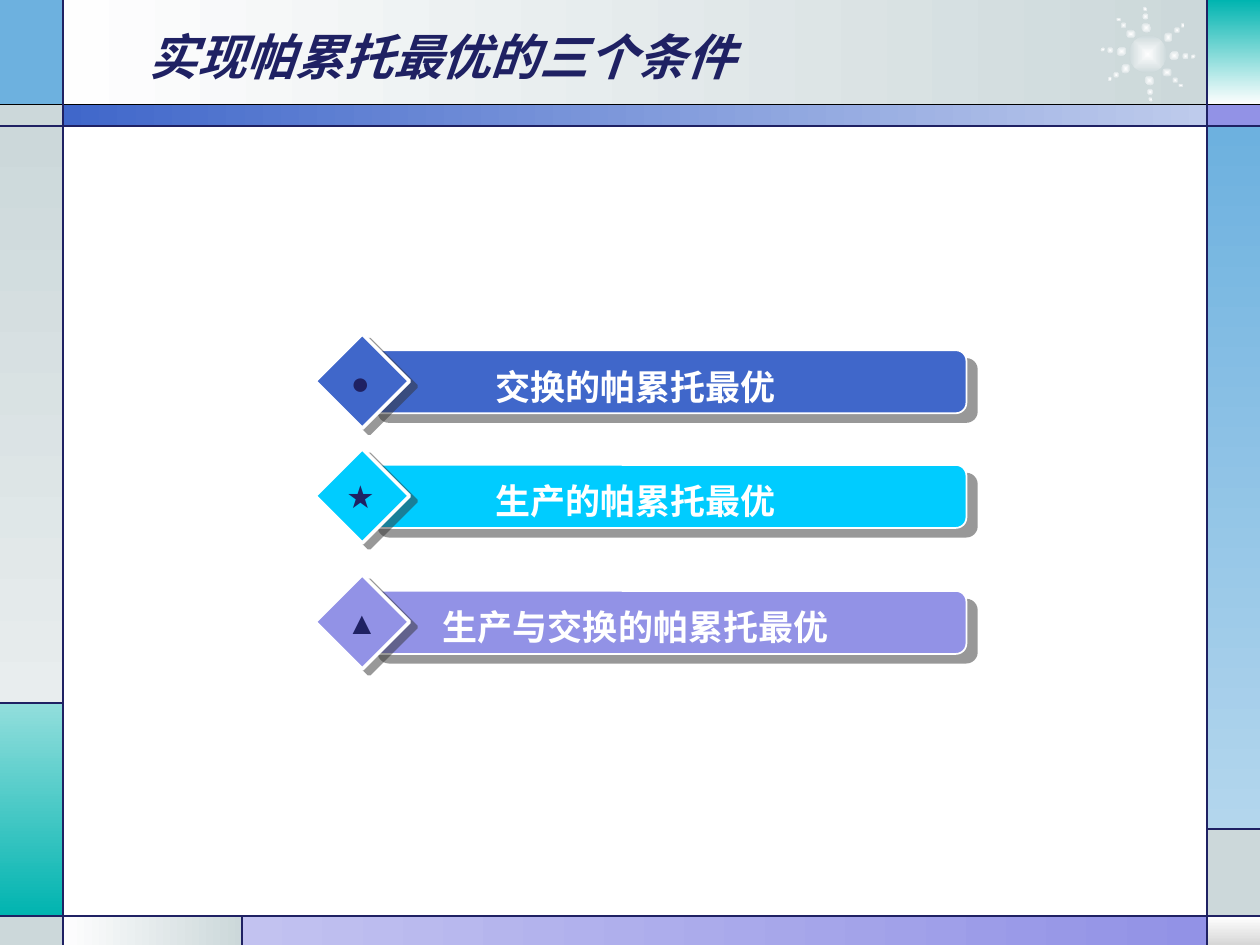
import math

from lxml import etree
from pptx import Presentation
from pptx import util as u
from pptx.dml.color import RGBColor
from pptx.enum import shapes, text
from pptx.oxml.ns import qn

COLORS = {
    "white": "FFFFFF", "pearl": "FEFEFE", "mist": "CCD8DA", "haze": "E8EDEE",
    "silver": "D7D7D7", "sky": "6DB1DF", "pale_sky": "B3D6ED",
    "teal": "00B4B0", "pale_teal": "92DEDC", "violet": "9292E6",
    "pale_violet": "C2C2F0", "blue": "4067CA", "pale_blue": "BECBEC",
    "cyan": "00CCFF", "navy": "1F2163", "black": "000000", "shade": "333333",
}
COLUMNS = [0, 0.5, 1.92, 9.58, 10]
ROWS = [0, 0.83, 1, 5.58, 6.58, 7.27, 7.5]
LEFTWARD, DOWNWARD = 180, 270
PANELS = [
    (1, 0, 3, 1, ("mist", "pearl", LEFTWARD)),
    (0, 0, 1, 1, "sky"),
    (0, 1, 1, 2, "mist"),
    (0, 2, 1, 3, ("mist", "haze", DOWNWARD)),
    (0, 3, 1, 5, ("pale_teal", "teal", DOWNWARD)),
    (0, 5, 1, 6, "mist"),
    (1, 5, 2, 6, ("mist", "pearl", LEFTWARD)),
    (2, 5, 3, 6, ("violet", "pale_violet", LEFTWARD)),
    (3, 5, 4, 6, ("white", "silver", DOWNWARD)),
    (3, 4, 4, 5, "mist"),
    (3, 2, 4, 4, ("sky", "pale_sky", DOWNWARD)),
    (3, 1, 4, 2, "violet"),
    (3, 0, 4, 1, ("teal", "pearl", DOWNWARD)),
    (1, 1, 3, 2, ("pale_blue", "blue", LEFTWARD)),
]
RULES = [
    (0, 1, 4, 1, "black"), (0, 2, 4, 2, "navy"), (0, 5, 4, 5, "navy"),
    (1, 0, 1, 6, "navy"), (3, 0, 3, 6, "navy"), (0, 3, 1, 3, "navy"),
    (2, 5, 2, 6, "navy"), (3, 4, 4, 4, "navy"),
]
BURST_CENTER = (9.11, 0.43)
BURST_ANGLES = [43.5, 3, -39.5, 86.5, 266.5, 230, 186, 147]
BURST_DOTS = [(0.3, 0.05, 0.05), (0.36, 0.04, 0.03), (0.21, 0.08, 0.07)]
DOT_TILT = 38
CONDITIONS = [
    (2.65, "blue", "交换的帕累托最优", "●"),
    (3.56, "cyan", "生产的帕累托最优", "★"),
    (4.56, "violet", "生产与交换的帕累托最优", "▲"),
]


def rgb(name):
    return RGBColor.from_string(COLORS[name])


def paint(shape, fill):
    if isinstance(fill, str):
        shape.fill.solid()
        shape.fill.fore_color.rgb = rgb(fill)
        return
    start, end, angle = fill
    shape.fill.gradient()
    shape.fill.gradient_angle = angle
    for stop, name in zip(shape.fill.gradient_stops, (start, end)):
        stop.color.rgb = rgb(name)


def add_figure(page, kind, place, fill, outline=None):
    shape = page.shapes.add_shape(kind, *map(u.Inches, place))
    shape.shadow.inherit = False
    paint(shape, fill)
    if outline:
        shape.line.color.rgb = rgb("white")
        shape.line.width = u.Pt(outline)
    else:
        shape.line.fill.background()
    return shape


def add_shadow(shape, distance, direction):
    effects = shape._element.spPr.find(qn("a:effectLst"))
    shadow = etree.SubElement(
        effects, qn("a:outerShdw"), blurRad="0", dist=str(u.Pt(distance)),
        dir=str(direction * 60000), algn="ctr", rotWithShape="0")
    color = etree.SubElement(shadow, qn("a:srgbClr"), val=COLORS["shade"])
    etree.SubElement(color, qn("a:alpha"), val="50000")


def add_panel(page, left, top, right, bottom, fill):
    x, y = COLUMNS[left], ROWS[top]
    place = (x, y, COLUMNS[right] - x, ROWS[bottom] - y)
    add_figure(page, shapes.MSO_SHAPE.RECTANGLE, place, fill)


def add_rule(page, left, top, right, bottom, color):
    ends = (COLUMNS[left], ROWS[top], COLUMNS[right], ROWS[bottom])
    rule = page.shapes.add_connector(
        shapes.MSO_CONNECTOR.STRAIGHT, *map(u.Inches, ends))
    rule.line.color.rgb = rgb(color)
    rule.line.width = u.Pt(0.75)
    etree.SubElement(rule._element.spPr, qn("a:effectLst"))


def add_dot(page, x, y, width, height, turn):
    place = (x - width / 2, y - height / 2, width, height)
    dot = add_figure(page, shapes.MSO_SHAPE.OVAL, place, ("pearl", "mist", 0))
    dot.rotation = turn
    gradient = dot._element.spPr.find(qn("a:gradFill"))
    gradient.remove(gradient.find(qn("a:lin")))
    center = etree.SubElement(gradient, qn("a:path"), path="rect")
    etree.SubElement(center, qn("a:fillToRect"),
                     l="50000", t="50000", r="50000", b="50000")


def add_burst(page):
    x, y = BURST_CENTER
    add_dot(page, x, y, 0.3, 0.3, 2.5)
    for angle in BURST_ANGLES:
        across, down = math.cos(math.radians(angle)), math.sin(math.radians(angle))
        for radius, width, height in BURST_DOTS:
            add_dot(page, x + radius * across, y + radius * down,
                    width, height, angle - DOT_TILT)


def add_text(page, place, words, size, color, name="Arial", bold=False,
             italic=False, align=text.PP_ALIGN.CENTER, wrap=True,
             anchor=text.MSO_ANCHOR.TOP):
    box = page.shapes.add_textbox(*map(u.Inches, place))
    frame = box.text_frame
    frame.word_wrap = wrap
    frame.vertical_anchor = anchor
    para = frame.paragraphs[0]
    para.text = words
    para.alignment = align
    para.font.name = name
    para.font.size = u.Pt(size)
    para.font.bold = bold
    para.font.italic = italic
    para.font.color.rgb = rgb(color)


def add_condition(page, top, color, words, symbol):
    bar = add_figure(page, shapes.MSO_SHAPE.ROUNDED_RECTANGLE,
                     (2.92, top + 0.13, 4.75, 0.5), color, 1)
    add_shadow(bar, 7.8, 40)
    diamond = add_figure(page, shapes.MSO_SHAPE.DIAMOND,
                         (2.5, top, 0.75, 0.75), color, 2)
    add_shadow(diamond, 5, 37)
    add_text(page, (3.17, top + 0.2, 3.75, 0.44), words, 20, "white", bold=True)
    add_text(page, (2.65, top + 0.18, 0.42, 0.4), symbol, 18, "navy", wrap=False)


def main():
    deck = Presentation()
    deck.slide_width, deck.slide_height = u.Inches(10), u.Inches(7.5)
    page = deck.slides.add_slide(deck.slide_layouts[6])
    for panel in PANELS:
        add_panel(page, *panel)
    add_burst(page)
    for rule in RULES:
        add_rule(page, *rule)
    add_text(page, (1.08, 0.13, 7.33, 0.62), "实现帕累托最优的三个条件", 28, "navy",
             name="Noto Sans CJK SC", bold=True, italic=True,
             align=text.PP_ALIGN.LEFT, anchor=text.MSO_ANCHOR.MIDDLE)
    for condition in CONDITIONS:
        add_condition(page, *condition)
    deck.save("out.pptx")


if __name__ == "__main__":
    main()
